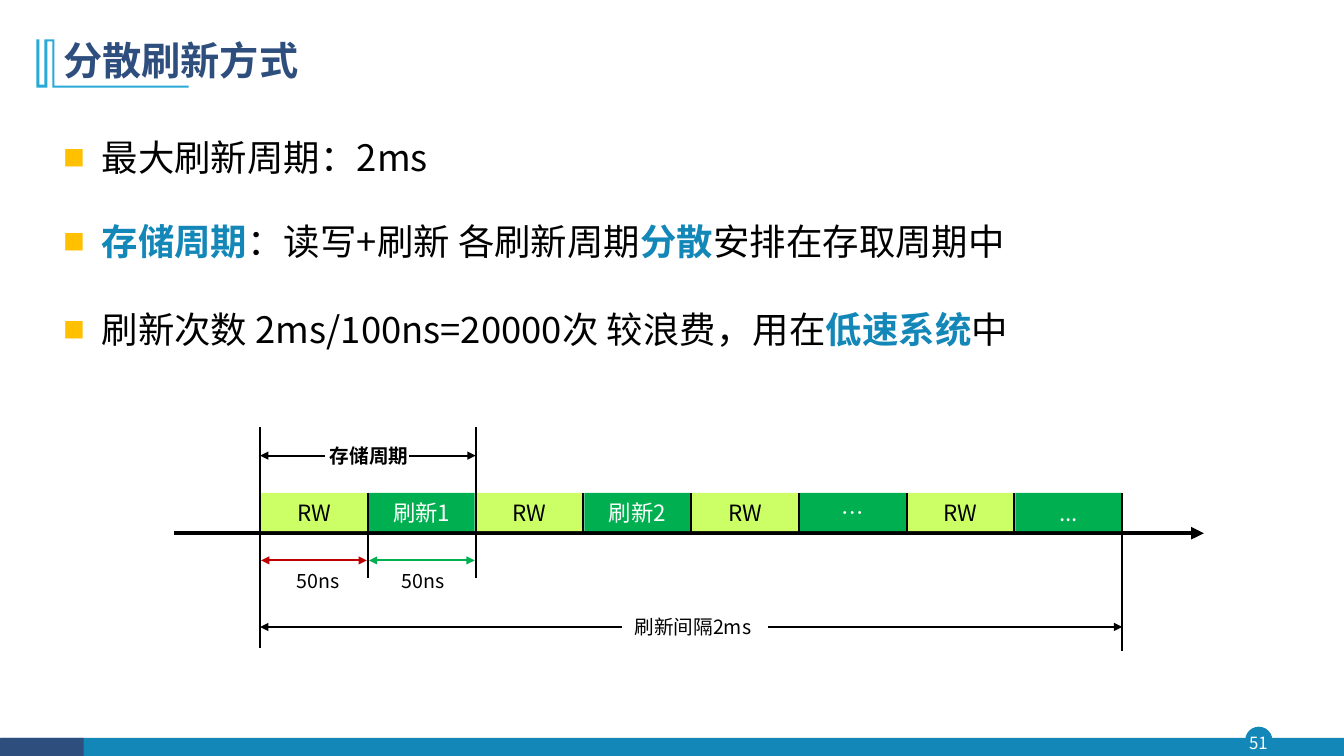
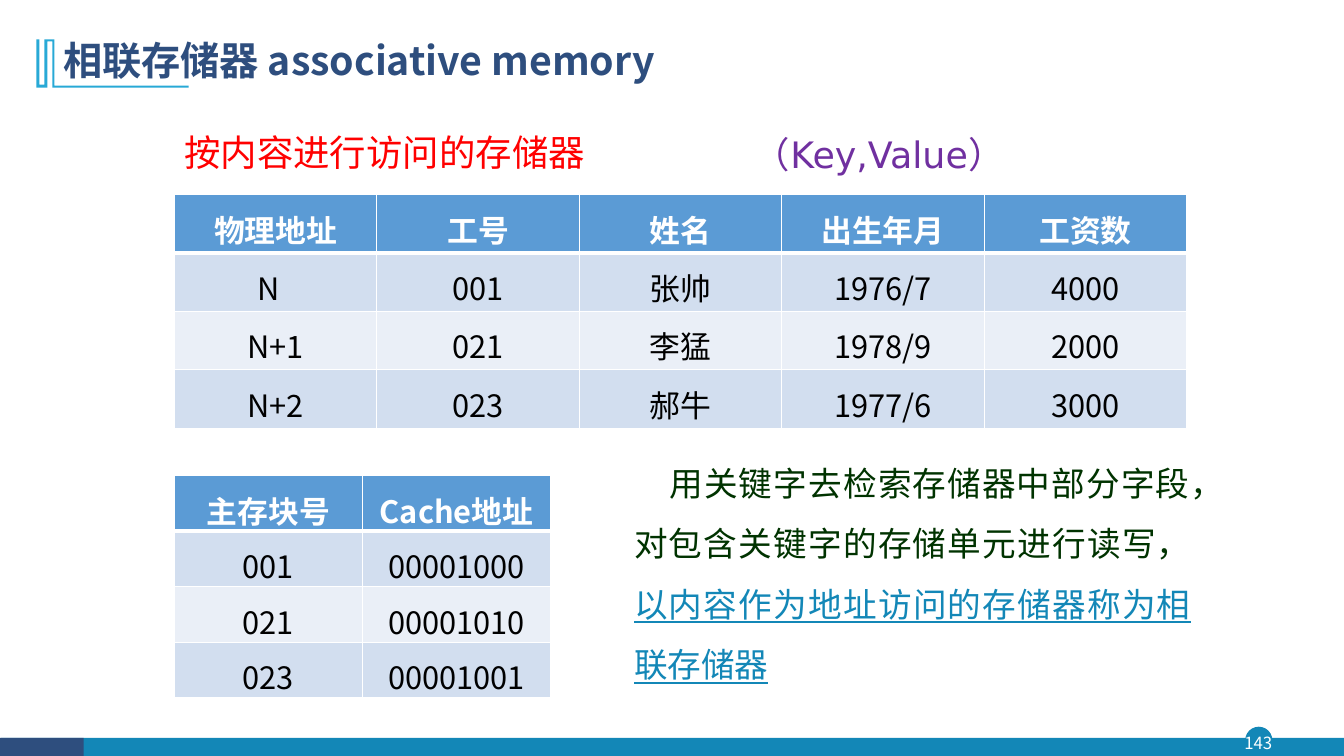
from lxml import etree
from pptx import Presentation
from pptx.dml.color import RGBColor
from pptx.enum.shapes import MSO_CONNECTOR, MSO_SHAPE
from pptx.enum.text import MSO_ANCHOR, PP_ALIGN
from pptx.oxml.ns import qn
from pptx.util import Inches, Pt

STRAIGHT = MSO_CONNECTOR.STRAIGHT
RECT, OVAL = MSO_SHAPE.RECTANGLE, MSO_SHAPE.OVAL
MIDDLE = MSO_ANCHOR.MIDDLE
LEFT, CENTER, RIGHT, JUSTIFY = PP_ALIGN.LEFT, PP_ALIGN.CENTER, PP_ALIGN.RIGHT, PP_ALIGN.JUSTIFY

FONT = "Noto Sans CJK SC"
LATIN_FONT = "DejaVu Sans"
C = {
    "navy": "2E4E7E", "blue": "1387B7", "sky": "28A9D6", "black": "000000",
    "white": "FFFFFF", "amber": "FFC000", "lime": "CCFF66", "green": "00B050",
    "dark_red": "C00000", "red": "FF0000", "purple": "7030A0", "forest": "003300",
    "header": "5B9BD5", "band_odd": "D2DEEF", "band_even": "EAEFF7",
}


def write(p, runs, size, align=LEFT, spacing=None, font=FONT):
    p.alignment = align
    if spacing:
        p.line_spacing = spacing
    for text, color, *style in runs:
        r = p.add_run()
        r.text = text
        r.font.size = Pt(size)
        r.font.name = font
        r.font.bold = "bold" in style
        r.font.underline = "underline" in style
        r.font.color.rgb = RGBColor.from_string(C[color])
        etree.SubElement(r.font._element, qn("a:ea"), typeface=font)


def add_line(s, x1, y1, x2, y2, color="black", width=1.5, ends=()):
    line = s.shapes.add_connector(STRAIGHT, Inches(x1), Inches(y1), Inches(x2), Inches(y2))
    line.line.color.rgb = RGBColor.from_string(C[color])
    line.line.width = Pt(width)
    for end in ends:
        etree.SubElement(line.line._get_or_add_ln(), qn("a:" + end), type="triangle")
    etree.SubElement(line._element.spPr, qn("a:effectLst"))


prs = Presentation()
prs.slide_width, prs.slide_height = Inches(13.33), Inches(7.5)

ornament = [
    (0.54, 0.39), (0.54, 0.85), (1.87, 0.85), (1.87, 0.87), (0.52, 0.87), (0.52, 0.41),
    (0.47, 0.41), (0.47, 0.87), (0.36, 0.87), (0.36, 0.39), (0.39, 0.39), (0.39, 0.84),
    (0.44, 0.84), (0.44, 0.39),
]
footer = [
    (OVAL, 12.35, 7.21, 0.27, 0.27, "blue"),
    (RECT, 0.01, 7.32, 13.32, 0.19, "blue"),
    (RECT, 0, 7.32, 0.83, 0.19, "navy"),
]
slides = []
for title, number in [("分散刷新方式", "51"), ("相联存储器 associative memory", "143")]:
    s = prs.slides.add_slide(prs.slide_layouts[6])
    slides.append(s)
    for kind, x, y, w, h, color in footer:
        sp = s.shapes.add_shape(kind, Inches(x), Inches(y), Inches(w), Inches(h))
        sp.shadow.inherit = False
        sp.fill.solid()
        sp.fill.fore_color.rgb = RGBColor.from_string(C[color])
        sp.line.fill.background()
    outline = [(Inches(x), Inches(y)) for x, y in ornament]
    builder = s.shapes.build_freeform(*outline[0])
    builder.add_line_segments(outline[1:], close=True)
    sp = builder.convert_to_shape()
    sp.shadow.inherit = False
    sp.fill.solid()
    sp.fill.fore_color.rgb = RGBColor.from_string(C["sky"])
    sp.line.fill.background()

    tf = s.shapes.add_textbox(Inches(12.32), Inches(7.21), Inches(0.32), Inches(0.31)).text_frame
    tf.margin_left = tf.margin_right = tf.margin_top = tf.margin_bottom = 0
    tf.vertical_anchor = MIDDLE
    tf.word_wrap = True
    write(tf.paragraphs[0], [(number, "white")], 12, CENTER)

    tf = s.shapes.add_textbox(Inches(0.53), Inches(0.28), Inches(11.5), Inches(0.68)).text_frame
    tf.vertical_anchor = MIDDLE
    tf.word_wrap = True
    write(tf.paragraphs[0], [(title, "navy", "bold")], 28, spacing=0.9)

refresh, associative = slides

s = refresh
bullets = [
    (1.6, [("最大刷新周期：2ms", "black")]),
    (1.6, [("存储周期", "blue", "bold"), ("：读写+刷新 各刷新周期", "black"),
           ("分散", "blue", "bold"), ("安排在存取周期中", "black")]),
    (1.7, [("刷新次数 2ms/100ns=20000次 较浪费，用在", "black"),
           ("低速系统", "blue", "bold"), ("中", "black")]),
]
tf = s.shapes.add_textbox(Inches(0.53), Inches(1.03), Inches(11.5), Inches(2.5)).text_frame
tf.word_wrap = True
for i, (spacing, runs) in enumerate(bullets):
    p = tf.add_paragraph() if i else tf.paragraphs[0]
    if i:
        p.space_before = Pt(10)
    write(p, runs, 26, JUSTIFY, spacing)
    pPr = p._p.get_or_add_pPr()
    pPr.set("marL", str(Inches(0.38)))
    pPr.set("indent", str(-Inches(0.38)))
    etree.SubElement(etree.SubElement(pPr, qn("a:buClr")), qn("a:srgbClr"), val=C["amber"])
    etree.SubElement(pPr, qn("a:buSzPct"), val="60000")
    etree.SubElement(pPr, qn("a:buFont"), typeface=FONT)
    etree.SubElement(pPr, qn("a:buChar"), char="■")

start, end = 2.58, 11.13
slots = ["RW", "刷新1", "RW", "刷新2", "RW", "…", "RW", "..."]
step = (end - start) / len(slots)
slot_top, slot_height, axis = 4.89, 0.38, 5.29
second, third = start + step, start + 2 * step

add_line(s, 1.73, axis, 11.94, axis, width=3, ends=["tailEnd"])
for i, label in enumerate(slots):
    fill, color = ("green", "white") if i % 2 else ("lime", "black")
    sp = s.shapes.add_shape(RECT, Inches(start + i * step + 0.01), Inches(slot_top),
                            Inches(1.05), Inches(slot_height))
    sp.shadow.inherit = False
    sp.fill.solid()
    sp.fill.fore_color.rgb = RGBColor.from_string(C[fill])
    sp.line.fill.background()
    sp.text_frame.vertical_anchor = MIDDLE
    write(sp.text_frame.paragraphs[0], [(label, color)], 16, CENTER)
for i in range(len(slots) + 1):
    x = start + i * step
    add_line(s, x, slot_top, x, slot_top + slot_height)

for x, top, bottom in [(start, 4.24, 4.95), (third, 4.24, slot_top), (start, axis, 6.43),
                       (second, axis, 5.73), (third, axis, 5.73), (end, axis, 6.46)]:
    add_line(s, x, top, x, bottom)
for x1, x2, y in [(3.22, start, 4.52), (4.06, third, 4.52), (6.17, start, 6.22), (7.62, end, 6.22)]:
    add_line(s, x1, y, x2, y, ends=["tailEnd"])
for x, color in [(start, "dark_red"), (second, "green")]:
    add_line(s, x + 0.01, 5.56, x + step - 0.01, 5.56, color, ends=["headEnd", "tailEnd"])

for x, y, w, run in [
    (3.11, 4.35, 1.04, ("存储周期", "black", "bold")),
    (2.8, 5.59, 0.67, ("50ns", "black")),
    (3.84, 5.59, 0.67, ("50ns", "black")),
    (6.17, 6.05, 1.38, ("刷新间隔2ms", "black")),
]:
    tf = s.shapes.add_textbox(Inches(x), Inches(y), Inches(w), Inches(0.33)).text_frame
    tf.word_wrap = True
    write(tf.paragraphs[0], [run], 14, RIGHT)

s = associative
for x, y, w, h, runs, size, align, spacing, font in [
    (1.73, 1.29, 5.5, 0.67, [("按内容进行访问的存储器", "red")], 26, LEFT, 0.9, FONT),
    (7.38, 1.18, 3.56, 0.67, [("（Key,Value）", "purple")], 26, LEFT, 1.2, LATIN_FONT),
    (6.19, 4.34, 5.72, 2.52,
     [("用关键字去检索存储器中部分字段，对包含关键字的存储单元进行读写，", "forest"),
      ("以内容作为地址访问的存储器称为相联存储器", "blue", "underline")], 24, JUSTIFY, 1.5, FONT),
]:
    tf = s.shapes.add_textbox(Inches(x), Inches(y), Inches(w), Inches(h)).text_frame
    tf.word_wrap = True
    write(tf.paragraphs[0], runs, size, align, spacing, font)
tf.paragraphs[0]._p.get_or_add_pPr().set("indent", str(Inches(0.35)))

staff = [
    ["物理地址", "工号", "姓名", "出生年月", "工资数"],
    ["N", "001", "张帅", "1976/7", "4000"],
    ["N+1", "021", "李猛", "1978/9", "2000"],
    ["N+2", "023", "郝牛", "1977/6", "3000"],
]
cache = [
    ["主存块号", "Cache地址"],
    ["001", "00001000"],
    ["021", "00001010"],
    ["023", "00001001"],
]
for rows, y, width, row_height in [(staff, 1.93, 10.04, 0.58), (cache, 4.72, 3.73, 0.55)]:
    table = s.shapes.add_table(len(rows), len(rows[0]), Inches(1.73), Inches(y),
                               Inches(width), Inches(row_height * len(rows))).table
    table.horz_banding = False
    for i, row in enumerate(rows):
        table.rows[i].height = Inches(row_height)
        fill = "header" if i == 0 else "band_odd" if i % 2 else "band_even"
        for j, text in enumerate(row):
            cell = table.cell(i, j)
            cell.margin_left = Inches(0.11)
            cell.margin_right = Inches(0.25 if text == "N" else 0.11)
            cell.margin_top = cell.margin_bottom = Inches(0.03)
            tcPr = cell._tc.get_or_add_tcPr()
            for side in ("L", "R", "T", "B"):
                thick = (i == 0 and side == "B") or (i == 1 and side == "T")
                ln = etree.SubElement(tcPr, qn("a:ln" + side), w=str(Pt(3 if thick else 1)))
                etree.SubElement(etree.SubElement(ln, qn("a:solidFill")), qn("a:srgbClr"), val=C["white"])
            cell.fill.solid()
            cell.fill.fore_color.rgb = RGBColor.from_string(C[fill])
            run = (text, "black") if i else (text, "white", "bold")
            write(cell.text_frame.paragraphs[0], [run], 22, CENTER, 1.2)

prs.save("out.pptx")
